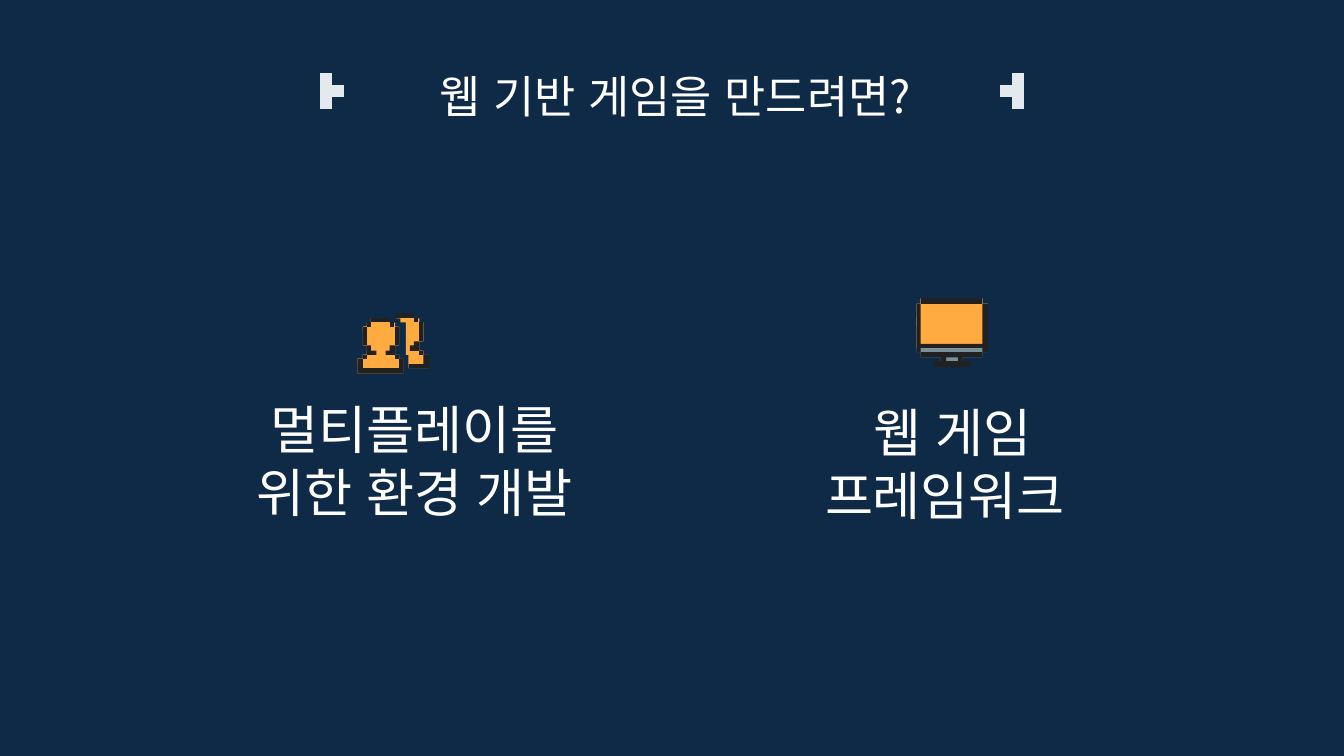
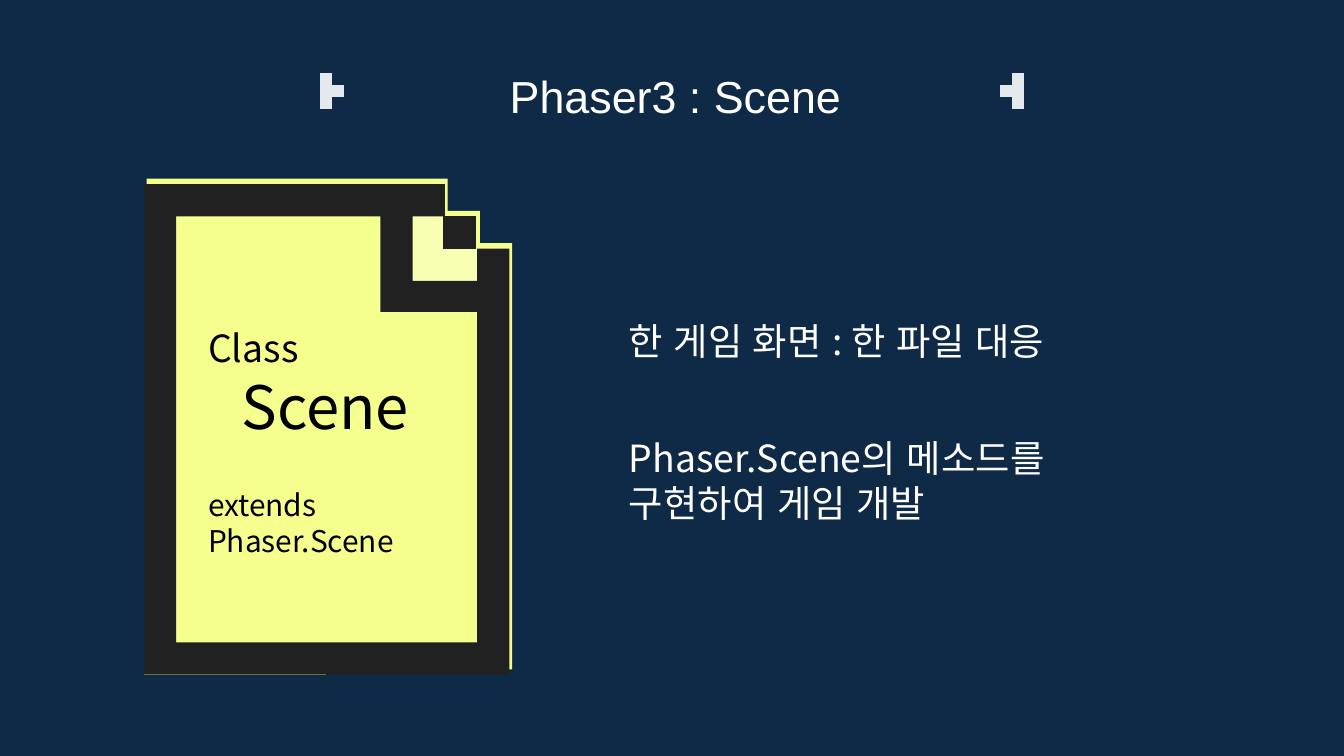
from dataclasses import dataclass

from pptx import Presentation
from pptx import util as u
from pptx.dml.color import RGBColor
from pptx.enum import shapes, text
from pptx.oxml.ns import qn
from lxml import etree


@dataclass(frozen=True)
class Theme:
    back: str = "0E2A47"
    white: str = "FFFFFF"
    black: str = "000000"
    pale: str = "E3E9ED"
    ink: str = "212121"
    amber: str = "FFAB40"
    steel: str = "78909C"
    paper: str = "F5FF8D"
    fold: str = "F8FFB3"
    sans: str = "Arial"
    noto: str = "Noto Sans CJK KR"
    title: int = 24
    label: int = 28
    body: int = 20
    name: int = 32
    small: int = 16


T = Theme()


# Text
def style(para, size, color=T.white, font=T.noto, align=text.PP_ALIGN.LEFT):
    para.alignment = align
    para.font.size = u.Pt(size)
    para.font.name = font
    para.font.color.rgb = RGBColor.from_string(color)
    props = para._p.pPr.find(qn("a:defRPr"))
    etree.SubElement(props, qn("a:ea")).set("typeface", T.sans)


def place(shape, left, top, width, height):
    shape.left, shape.top = u.Inches(left), u.Inches(top)
    shape.width, shape.height = u.Inches(width), u.Inches(height)


def label(slide, box, lines, size, align=text.PP_ALIGN.LEFT):
    frame = slide.shapes.add_textbox(*map(u.Inches, box)).text_frame
    frame.word_wrap = True
    frame.auto_size = text.MSO_AUTO_SIZE.SHAPE_TO_FIT_TEXT
    frame.text = "\n".join(lines)
    for para in frame.paragraphs:
        style(para, size, align=align)


# Pixel outlines: a start point, then y and x in turn
def corners(x, y, *turns):
    points = [(x, y)]
    for i, value in enumerate(turns):
        x, y = (value, y) if i % 2 else (x, value)
        points.append((x, y))
    return [(u.Inches(a), u.Inches(b)) for a, b in points]


def outline(group, color, *loops):
    first, *rest = [corners(*loop) for loop in loops]
    pen = group.shapes.build_freeform(*first[0])
    pen.add_line_segments(first[1:])
    for loop in rest:
        pen.move_to(*loop[0])
        pen.add_line_segments(loop[1:])
    paint(pen.convert_to_shape(), color)


def paint(shape, color):
    shape.fill.solid()
    shape.fill.fore_color.rgb = RGBColor.from_string(color)
    shape.line.fill.background()
    shape.shadow.inherit = False


def block(group, color, x, y, w, h):
    outline(group, color, (x, y, y + h, x + w, y))


# Shared slide frame
def bracket(slide, edge, inner):
    group = slide.shapes.add_group_shape()
    side = 0.09
    for row in range(3):
        block(group, T.pale, edge, 0.54 + row * side, side, side)
    block(group, T.pale, inner, 0.54 + side, side, side)


def brackets(slide):
    bracket(slide, 2.38, 2.47)
    bracket(slide, 7.53, 7.44)


def page(deck, title, font):
    slide = deck.slides.add_slide(deck.slide_layouts[5])
    head = slide.shapes.title
    place(head, 1.17, 0.41, 7.71, 0.53)
    frame = head.text_frame
    frame.text = title
    frame.word_wrap = True
    frame.auto_size = text.MSO_AUTO_SIZE.NONE
    frame.vertical_anchor = text.MSO_ANCHOR.TOP
    frame.margin_left = frame.margin_right = u.Inches(0.1)
    frame.margin_top = frame.margin_bottom = u.Inches(0.1)
    style(frame.paragraphs[0], T.title, font=font, align=text.PP_ALIGN.CENTER)
    return slide


# Icons
def players(slide):
    group = slide.shapes.add_group_shape()
    # Front figure with highlights, then back figure
    for loop in (
            (2.76, 2.37, 2.4, 2.73, 2.43, 2.7, 2.57, 2.73, 2.64, 2.7, 2.67,
             2.66, 2.78, 3, 2.67, 2.97, 2.64, 2.94, 2.57, 2.97, 2.43, 2.94,
             2.4, 2.9, 2.37),
            (2.76, 2.37, 2.4, 2.73, 2.43, 2.7, 2.47, 2.76, 2.43, 2.8, 2.37),
            (2.73, 2.61, 2.64, 2.7, 2.67, 2.66, 2.71, 2.73, 2.67, 2.76, 2.61),
            (2.95, 2.33, 2.37, 2.98, 2.4, 3.02, 2.64, 3.04, 2.74, 3.19, 2.64,
             3.15, 2.61, 3.12, 2.54, 3.15, 2.4, 3.12, 2.37, 3.08, 2.33)):
        outline(group, T.amber, loop)
    # Straight edges
    for box in ((2.7, 2.43, 0.03, 0.14), (2.94, 2.43, 0.03, 0.14),
                (3.12, 2.4, 0.03, 0.14), (2.76, 2.37, 0.14, 0.03),
                (2.95, 2.33, 0.13, 0.04)):
        block(group, T.ink, *box)
    # Corner pixels
    for x, y in ((2.73, 2.4), (2.9, 2.4), (2.7, 2.64), (2.94, 2.64),
                 (3.08, 2.37), (3.12, 2.61)):
        block(group, T.ink, x, y, 0.03, 0.03)
    # Necks and shoulders
    for loop in ((2.9, 2.57, 2.61, 2.87, 2.64, 2.94, 2.57),
                 (2.73, 2.57, 2.64, 2.8, 2.61, 2.76, 2.57),
                 (3.08, 2.54, 2.57, 3.05, 2.61, 3.12, 2.54),
                 (2.66, 2.67, 2.78, 3, 2.67, 2.97, 2.74, 2.7, 2.67),
                 (3.15, 2.64, 2.71, 3.04, 2.74, 3.19, 2.64)):
        outline(group, T.ink, loop)


def monitor(slide):
    group = slide.shapes.add_group_shape()
    # Case and screen
    outline(group, T.steel, (
        6.85, 2.22, 2.26, 6.82, 2.62, 6.85, 2.66, 7, 2.69, 7.16, 2.66, 7.31,
        2.62, 7.35, 2.26, 7.31, 2.22))
    outline(group, T.amber, (
        6.85, 2.22, 2.26, 6.82, 2.59, 7.35, 2.26, 7.31, 2.22))
    # Diagonal glare
    for i in range(6):
        block(group, T.amber, 6.89 + i * 0.034, 2.46 - i * 0.034, 0.03, 0.03)
    outline(group, T.amber, (
        6.96, 2.22, 2.29, 6.92, 2.33, 6.89, 2.36, 6.82, 2.43, 6.89, 2.4, 6.92,
        2.36, 6.96, 2.33, 6.99, 2.29, 7.03, 2.22))
    block(group, T.amber, 7.09, 2.22, 0.04, 0.07)
    block(group, T.amber, 6.82, 2.5, 0.07, 0.03)
    # Frame and stand
    outline(group, T.ink, (
        6.82, 2.26, 2.62, 6.85, 2.59, 7.31, 2.62, 7.35, 2.26, 7.31, 2.56,
        6.85, 2.26))
    block(group, T.ink, 6.95, 2.69, 0.27, 0.04)
    block(group, T.ink, 6.85, 2.22, 0.46, 0.04)
    outline(group, T.ink, (
        6.85, 2.62, 2.66, 7, 2.69, 7.04, 2.66, 7.13, 2.69, 7.16, 2.66, 7.31,
        2.62))


def document(slide):
    group = slide.shapes.add_group_shape()
    # Sheet, folded corner and border
    outline(group, T.paper, (
        1.09, 1.33, 4.98, 3.81, 1.81, 3.57, 1.57, 3.33, 1.33))
    block(group, T.paper, 1.07, 1.37, 1.36, 3.65)
    outline(group, T.fold, (2.82, 1.37, 2.32, 3.78, 1.85, 3.54, 1.61, 3.3, 1.37))
    block(group, T.ink, 3.3, 1.61, 0.24, 0.24)
    outline(group, T.ink,
            (2.83, 1.61, 2.32, 3.55, 4.78, 1.31, 1.61),
            (1.07, 1.37, 5.02, 3.79, 1.85, 3.55, 2.09, 3.07, 1.61, 3.31, 1.37))
    # Class declaration
    card = group.shapes.add_shape(shapes.MSO_SHAPE.RECTANGLE,
                                  *map(u.Inches, (1.45, 2.37, 2.02, 1.85)))
    paint(card, T.paper)
    frame = card.text_frame
    frame.word_wrap = True
    frame.vertical_anchor = text.MSO_ANCHOR.TOP
    frame.text = "Class\nScene\nextends Phaser.Scene"
    for para, size in zip(frame.paragraphs, (T.body, T.name, T.small)):
        style(para, size, T.black)
    frame.paragraphs[1]._p.pPr.set("marL", str(u.Inches(0.25)))
    frame.paragraphs[2].space_before = u.Pt(24)


# Slides
def needs(deck):
    slide = page(deck, "웹 기반 게임을 만드려면?", T.noto)
    mid = text.PP_ALIGN.CENTER
    label(slide, (5.95, 2.93, 2.27, 1.04), ["웹 게임", "프레임워크 "], T.label, mid)
    players(slide)
    label(slide, (1.66, 2.91, 2.85, 1.04), ["멀티플레이를 위한 환경 개발"], T.label, mid)
    monitor(slide)
    brackets(slide)


def scene(deck):
    slide = page(deck, "Phaser3 : Scene", T.sans)
    document(slide)
    label(slide, (4.58, 2.32, 4.97, 0.44), ["한 게임 화면 : 한 파일 대응"], T.body)
    label(slide, (4.58, 3.19, 4.97, 0.77),
          ["Phaser.Scene의 메소드를", "구현하여 게임 개발"], T.body)
    brackets(slide)


def main():
    deck = Presentation()
    # Widescreen, 16 to 9
    deck.slide_width = u.Inches(10)
    deck.slide_height = u.Emu(deck.slide_width * 9 // 16)
    fill = deck.slide_master.background.fill
    fill.solid()
    fill.fore_color.rgb = RGBColor.from_string(T.back)
    needs(deck)
    scene(deck)
    deck.save("out.pptx")


if __name__ == "__main__":
    main()
